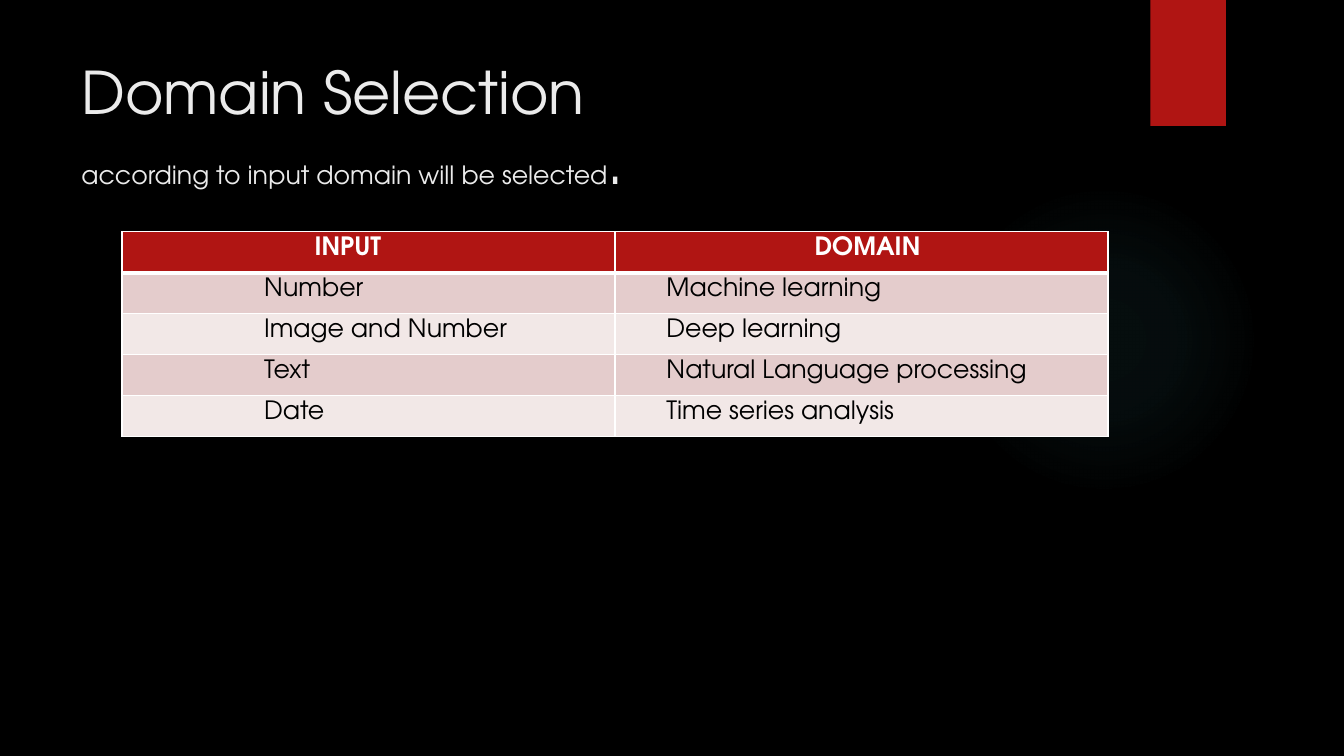
from lxml.etree import SubElement
from pptx import Presentation
from pptx.dml.color import RGBColor
from pptx.enum.shapes import MSO_SHAPE
from pptx.enum.text import MSO_ANCHOR
from pptx.oxml import parse_xml
from pptx.oxml.ns import nsdecls, qn
from pptx.util import Inches, Pt

FONT = "TeX Gyre Adventor"
COLORS = {"background": "000000", "accent": "B01513", "glow": "50B9C1",
          "title": "EBEBEB", "header": "FFFFFF", "body": "000000",
          "border": "FFFFFF", "odd": "E4CCCC", "even": "F2E8E7"}
TITLE = [("Domain Selection", 42), ("\v", 42),
         ("according to input domain will be selected", 18), (".", 42)]
DOMAINS = [("INPUT", "DOMAIN"),
           ("Number", "Machine learning"),
           ("Image and Number", "Deep learning"),
           ("Text", "Natural Language processing"),
           ("Date", "Time series analysis")]
HEADER_INDENTS = (1.91, 1.98)
BODY_INDENTS = (1.41, 0.51)
CELL_TOP = 0.05
GLOW_STOPS = [(0, 7), (36, 6), (69, 0)]  # position and opacity in percent
TABLE_LEFT, TABLE_TOP, TABLE_HEIGHT, COLUMN_WIDTH = 1.21, 2.3, 2.03, 4.89


def rgb(role):
    """Return the colour of a role."""
    return RGBColor.from_string(COLORS[role])


def set_font(font, size, role, bold=False):
    """Apply the slide's typeface with a size, colour and weight."""
    font.name, font.size, font.bold = FONT, Pt(size), bold
    font.color.rgb = rgb(role)


def add_plain(shapes, kind, left, top, width, height):
    """Add a preset shape without outline or shadow."""
    shape = shapes.add_shape(kind, *map(Inches, (left, top, width, height)))
    shape.shadow.inherit = False
    shape.line.fill.background()
    return shape


def add_glow(shapes):
    """Add the faint circle that fades towards its rim."""
    glow = add_plain(shapes, MSO_SHAPE.OVAL, 9.41, 1.83, 3.08, 3.08)
    stops = "".join(
        f'<a:gs pos="{at * 1000}"><a:srgbClr val="{COLORS["glow"]}">'
        f'<a:alpha val="{opacity * 1000}"/></a:srgbClr></a:gs>'
        for at, opacity in GLOW_STOPS)
    gradient = parse_xml(
        f'<a:gradFill {nsdecls("a")}><a:gsLst>{stops}</a:gsLst>'
        '<a:path path="circle"><a:fillToRect l="50000" t="50000" '
        'r="50000" b="50000"/></a:path></a:gradFill>')
    glow.element.spPr.find(qn("a:prstGeom")).addnext(gradient)


def add_title(shapes):
    """Add the heading with its smaller second line."""
    box = shapes.add_textbox(*map(Inches, (0.71, 0.5, 10.29, 1.53)))
    box.text_frame.word_wrap = True
    paragraph = box.text_frame.paragraphs[0]
    set_font(paragraph.font, 42, "title")
    for text, size in TITLE:
        if text == "\v":
            paragraph.add_line_break()
            continue
        run = paragraph.add_run()
        run.text = text
        set_font(run.font, size, "title")


def set_borders(cell, top, bottom):
    """Draw the four cell borders, with top and bottom widths in points."""
    properties = cell._tc.get_or_add_tcPr()
    for side, width in zip("LRTB", (1, 1, top, bottom)):
        line = SubElement(properties, qn(f"a:ln{side}"), w=str(Pt(width)))
        solid = SubElement(line, qn("a:solidFill"))
        SubElement(solid, qn("a:srgbClr"), val=COLORS["border"])


def add_domains(shapes):
    """Add the table that maps each input to its domain."""
    rows, columns = len(DOMAINS), len(DOMAINS[0])
    table = shapes.add_table(
        rows, columns, Inches(TABLE_LEFT), Inches(TABLE_TOP),
        Inches(columns * COLUMN_WIDTH), Inches(TABLE_HEIGHT)).table
    for r, entries in enumerate(DOMAINS):
        header = r == 0
        indents = HEADER_INDENTS if header else BODY_INDENTS
        band = "accent" if header else ("even", "odd")[r % 2]
        for c, (text, indent) in enumerate(zip(entries, indents)):
            cell = table.cell(r, c)
            cell.margin_left, cell.margin_right = Inches(indent), 0
            cell.margin_top, cell.margin_bottom = Inches(CELL_TOP), 0
            cell.vertical_anchor = MSO_ANCHOR.TOP
            set_borders(cell, 3 if r == 1 else 1, 3 if header else 1)
            cell.fill.solid()
            cell.fill.fore_color.rgb = rgb(band)
            cell.text = text
            set_font(cell.text_frame.paragraphs[0].font, 18,
                     "header" if header else "body", header)


deck = Presentation()
deck.slide_width, deck.slide_height = Inches(13.33), Inches(7.5)
slide = deck.slides.add_slide(deck.slide_layouts[6])
slide.background.fill.solid()
slide.background.fill.fore_color.rgb = rgb("background")

add_glow(slide.shapes)
ribbon = add_plain(slide.shapes, MSO_SHAPE.RECTANGLE, 11.41, 0, 0.75, 1.25)
ribbon.fill.solid()
ribbon.fill.fore_color.rgb = rgb("accent")
add_title(slide.shapes)
add_domains(slide.shapes)
deck.save("out.pptx")
